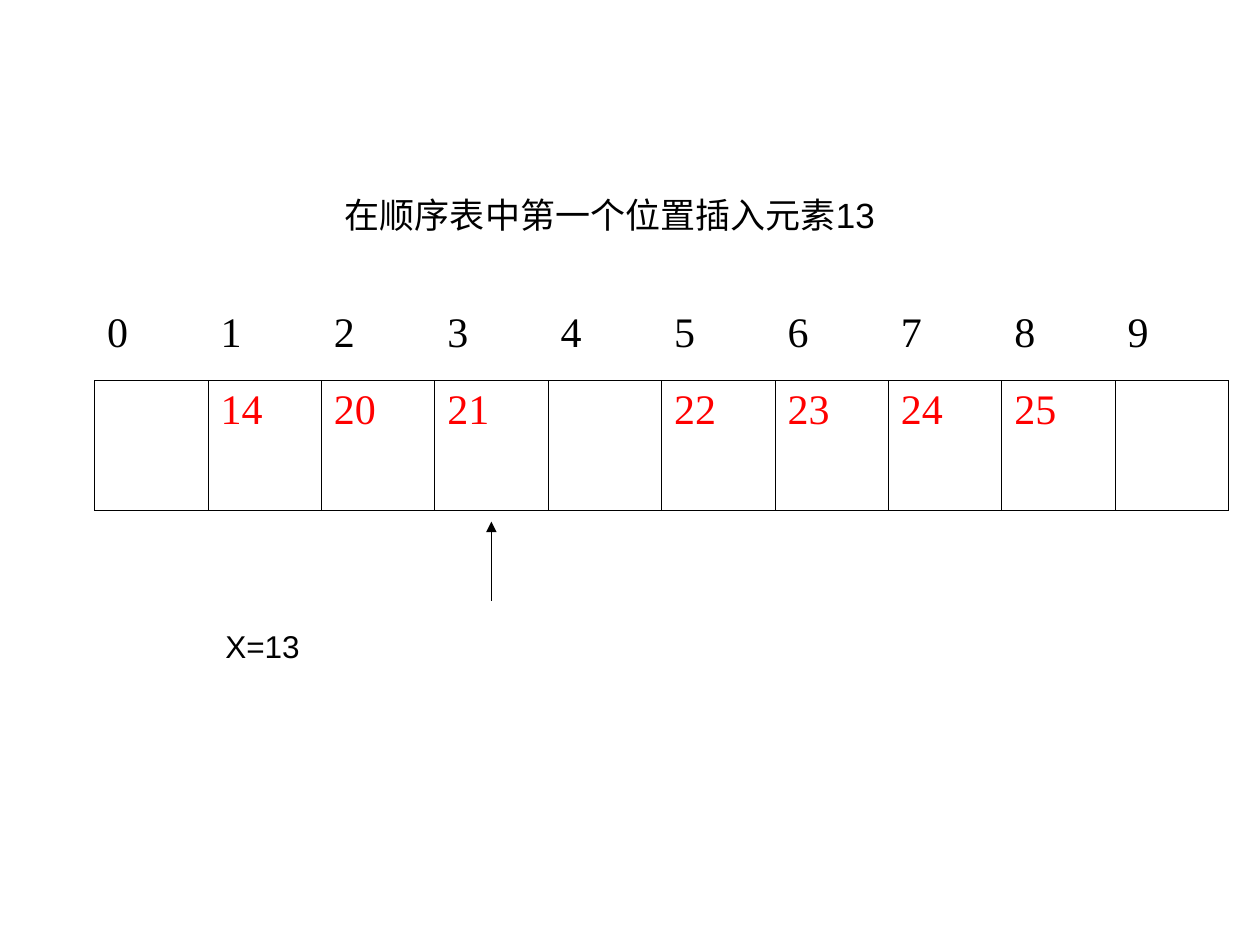
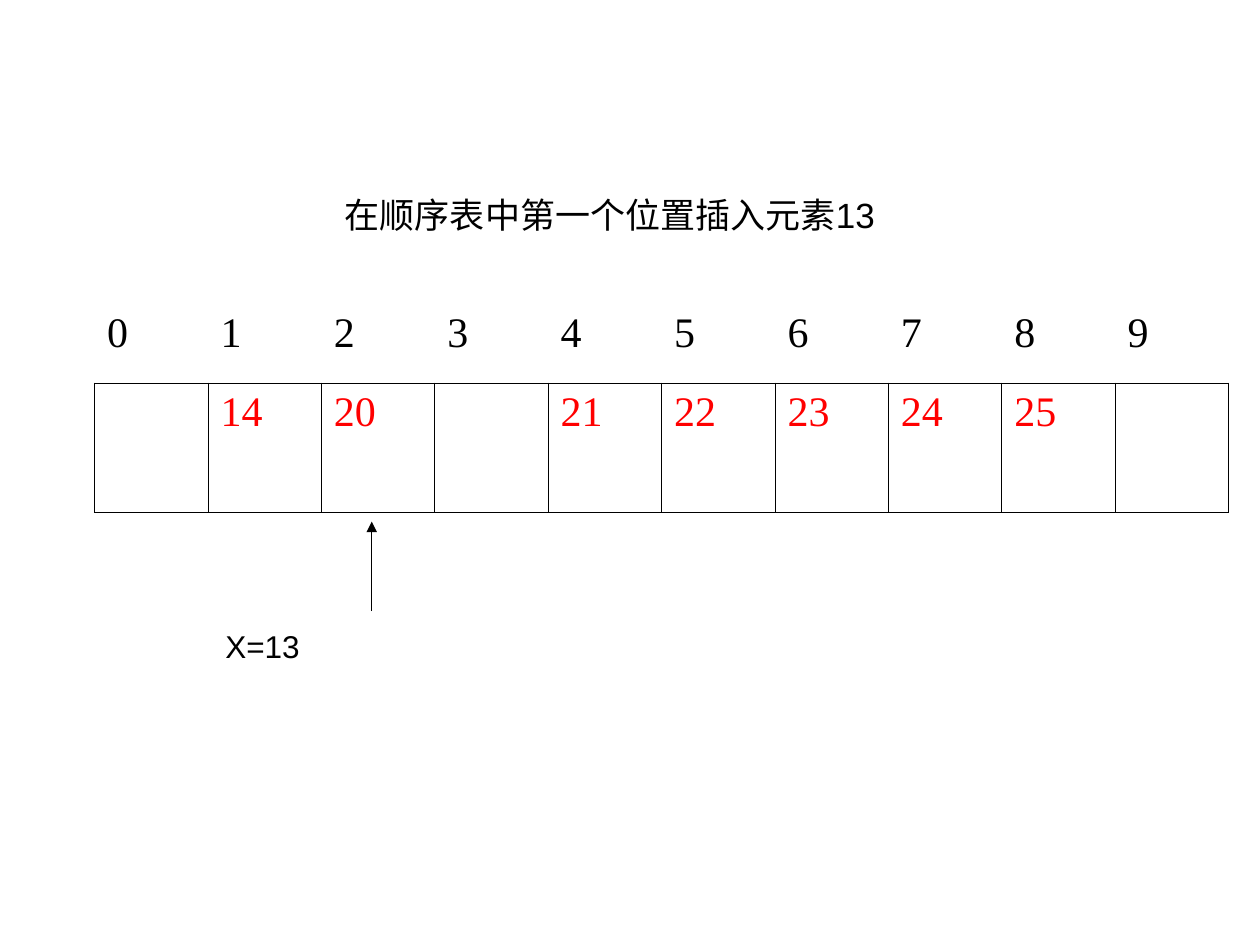
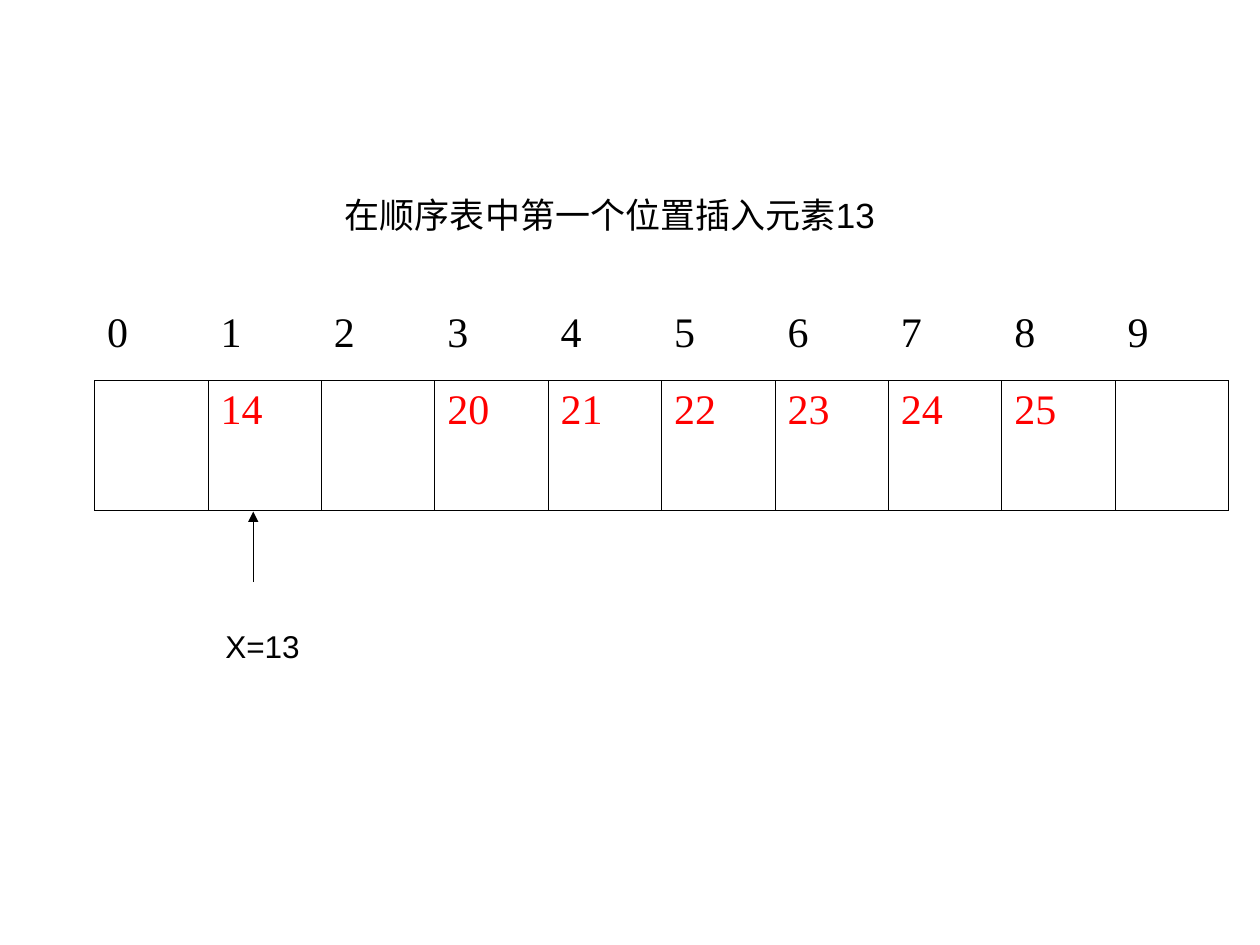
from dataclasses import dataclass

from lxml import etree
from pptx import Presentation, util as u
from pptx.dml.color import RGBColor
from pptx.enum import shapes, text
from pptx.oxml.ns import qn

TITLE = "在顺序表中第一个位置插入元素13"
NEW_ELEMENT = "X=13"
LIST_SIZE = 10
ELEMENTS = ["14", "20", "21", "22", "23", "24", "25"]
STEPS = [
    {"gap": 4, "index_height": 0.61, "arrow": (3.9, 4.77, 4.14)},
    {"gap": 3, "index_height": 0.63, "arrow": (2.95, 4.85, 4.14)},
    {"gap": 2, "index_height": 0.61, "arrow": (2.01, 4.62, 4.06)},
]

TABLE_LEFT, TABLE_TOP = 0.75, 2.41
CELL_WIDTH, CELL_HEIGHT = 0.9, 1.03
TITLE_BOX = (0.59, 1.39, 8.5, 0.63)
ELEMENT_BOX = (1.69, 4.93, 2.68, 0.4)


@dataclass(frozen=True)
class Theme:
    ink: str = "000000"
    value: str = "FF0000"
    label_font: str = "Arial"
    cell_font: str = "Times New Roman"
    title_size: float = 20
    element_size: float = 18
    cell_size: float = 24
    arrow_width: float = 0.75
    border_width: float = 0.45


THEME = Theme()


def format_runs(paragraph, font, size, color):
    for run in paragraph.runs:
        run.font.name = font
        run.font.size = u.Pt(size)
        run.font.color.rgb = RGBColor.from_string(color)


def add_label(slide, box, words, size):
    shape = slide.shapes.add_textbox(*map(u.Inches, box))
    frame = shape.text_frame
    frame.word_wrap = True
    frame.text = words
    format_runs(frame.paragraphs[0], THEME.label_font, size, THEME.ink)
    return frame


def set_borders(cell, visible_sides):
    properties = cell._tc.get_or_add_tcPr()
    for position, side in enumerate("LRTB"):
        line = etree.Element(qn(f"a:ln{side}"), w=str(u.Pt(THEME.border_width)))
        if side in visible_sides:
            fill = etree.SubElement(line, qn("a:solidFill"))
            etree.SubElement(fill, qn("a:srgbClr"), val=THEME.ink)
        else:
            etree.SubElement(line, qn("a:noFill"))
        properties.insert(position, line)


def fill_cell(cell, words, color, visible_sides):
    cell.fill.background()
    cell.text = words
    format_runs(cell.text_frame.paragraphs[0], THEME.cell_font, THEME.cell_size, color)
    set_borders(cell, visible_sides)


def add_list(slide, gap, index_height):
    values = ["", *ELEMENTS[:gap - 1], "", *ELEMENTS[gap - 1:], ""]
    frame = slide.shapes.add_table(
        2, LIST_SIZE, u.Inches(TABLE_LEFT), u.Inches(TABLE_TOP),
        u.Inches(CELL_WIDTH * LIST_SIZE), u.Inches(index_height + CELL_HEIGHT))
    table = frame.table
    table.first_row = False
    table.horz_banding = False
    for row, height in zip(table.rows, (index_height, CELL_HEIGHT)):
        row.height = u.Inches(height)
    for index, value in enumerate(values):
        table.columns[index].width = u.Inches(CELL_WIDTH)
        fill_cell(table.cell(0, index), str(index), THEME.ink, "B")
        fill_cell(table.cell(1, index), value, THEME.value, "LRTB")


def add_arrow(slide, x, start, end):
    arrow = slide.shapes.add_connector(
        shapes.MSO_CONNECTOR.STRAIGHT,
        u.Inches(x), u.Inches(start), u.Inches(x), u.Inches(end))
    arrow.line.color.rgb = RGBColor.from_string(THEME.ink)
    arrow.line.width = u.Pt(THEME.arrow_width)
    etree.SubElement(arrow.line._get_or_add_ln(), qn("a:tailEnd"), type="triangle")
    etree.SubElement(arrow._element.spPr, qn("a:effectLst"))


def add_step(presentation, step):
    slide = presentation.slides.add_slide(presentation.slide_layouts[6])
    add_list(slide, step["gap"], step["index_height"])
    title = add_label(slide, TITLE_BOX, TITLE, THEME.title_size)
    title.vertical_anchor = text.MSO_ANCHOR.MIDDLE
    title.paragraphs[0].alignment = text.PP_ALIGN.CENTER
    add_arrow(slide, *step["arrow"])
    element = add_label(slide, ELEMENT_BOX, NEW_ELEMENT, THEME.element_size)
    element.auto_size = text.MSO_AUTO_SIZE.SHAPE_TO_FIT_TEXT
    element.paragraphs[0].space_before = u.Pt(11.2)


def main():
    presentation = Presentation()
    presentation.slide_width = u.Inches(10)
    presentation.slide_height = u.Inches(7.5)
    for step in STEPS:
        add_step(presentation, step)
    presentation.save("out.pptx")


if __name__ == "__main__":
    main()
